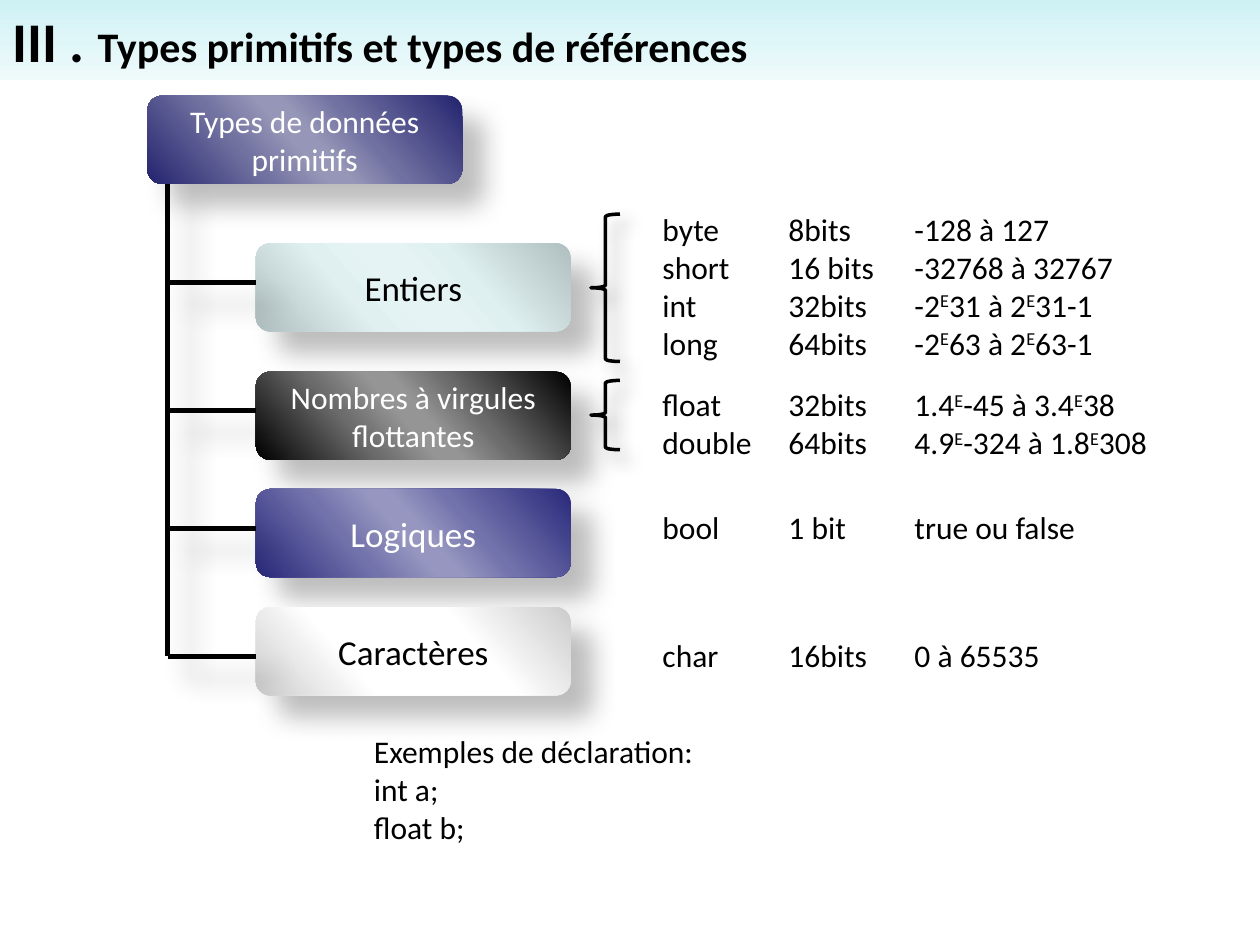
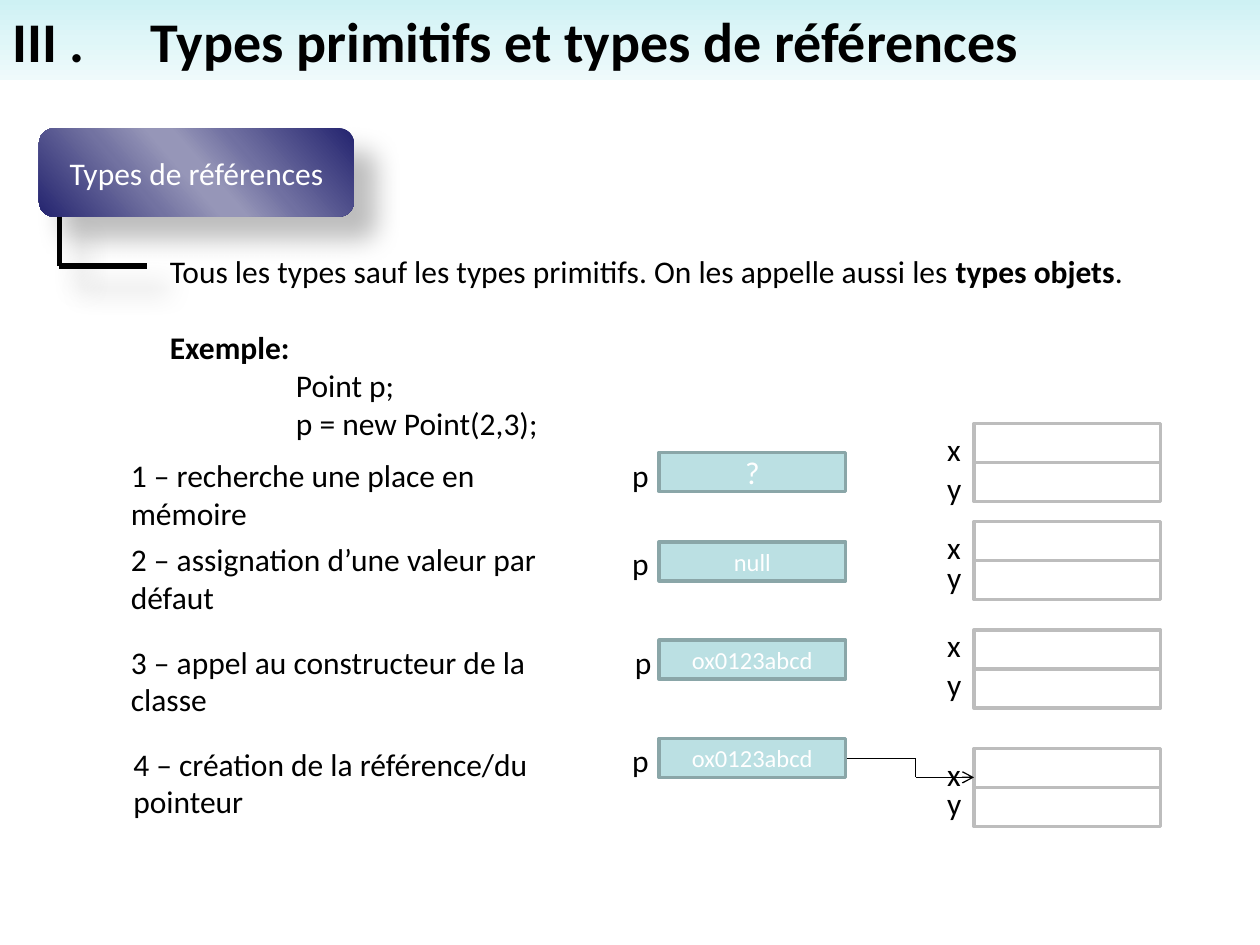
from dataclasses import dataclass
from itertools import pairwise
from typing import NamedTuple, Optional

from pptx import Presentation
from pptx.dml.color import RGBColor
from pptx.enum.shapes import MSO_CONNECTOR as Connector, MSO_SHAPE as Preset
from pptx.enum.text import MSO_ANCHOR as Anchor, PP_ALIGN as Align
from pptx.oxml.ns import qn
from pptx.oxml.xmlchemy import OxmlElement
from pptx.util import Pt


# Theme
class Shadow(NamedTuple):
    opacity: float
    blur: float
    distance: float


class Gradient(NamedTuple):
    angle: float
    stops: tuple[tuple[int, str], ...]


def glossy(*colours: str) -> Gradient:
    return Gradient(139, tuple(zip((0, 33, 47, 53, 68, 100), colours)))


@dataclass(frozen=True)
class Theme:
    font: str = "Calibri"
    black: str = "000000"
    white: str = "FFFFFF"
    reference_fill: str = "BBE0E3"
    reference_line: str = "8AA6A8"
    field_line: str = "BDBDBD"
    title_size: float = 32
    subtitle_size: float = 24
    label_size: float = 20
    body_size: float = 18
    value_size: float = 14
    band: Gradient = Gradient(90, ((0, "CEF1F4"), (50, "DFF6F8"), (100, "EFFAFB")))
    navy: Gradient = glossy("24246F", "7070A1", "9696B8", "9696B8", "7272A1", "24246F")
    aqua: Gradient = glossy("AFBEBF", "DFF0F1", "E5F3F5", "E5F3F5", "E0F0F1", "AFBEBF")
    dark: Gradient = glossy("000000", "6B6B6B", "959595", "959595", "6C6C6C", "000000")
    indigo: Gradient = glossy("29297B", "7272AC", "9696C0", "9696C0", "7373AC", "29297B")
    silver: Gradient = glossy("CCCCCC", "FFFFFF", "FFFFFF", "FFFFFF", "FFFFFF", "CCCCCC")
    box_shadow: Shadow = Shadow(26, 15, 18)
    brace_shadow: Shadow = Shadow(35, 10.2, 8)


THEME = Theme()
BOX_WIDTH, BOX_HEIGHT = 180, 50.4
SLIDE_WIDTH, SLIDE_HEIGHT = 720, 540
TAB = 72


# Content descriptions
class Run(NamedTuple):
    text: str
    size: float = THEME.body_size
    bold: bool = False
    raised: bool = False
    colour: str = THEME.black


class Line(NamedTuple):
    runs: list[Run]
    indent: float = 0
    space_before: float = 0
    tabs: tuple[float, ...] = ()
    align: Align = Align.LEFT


class Area(NamedTuple):
    left: float
    top: float
    width: float
    height: float


class TypeRow(NamedTuple):
    name: str
    size: str
    values: str  # "E" marks a raised exponent sign


@dataclass(frozen=True)
class TypeFamily:
    label: str
    fill: Gradient
    colour: str
    size: float
    top: float
    branch_y: float
    rows_top: float
    rows: tuple[TypeRow, ...]
    brace: Optional[Area] = None


@dataclass(frozen=True)
class Step:
    text: str
    text_top: float
    p_top: float
    value: str
    value_top: float
    fields_top: float
    x_top: float
    y_top: float
    value_size: float = THEME.value_size
    text_left: float = 67.7
    text_width: float = 270
    p_left: float = 354.2


FAMILIES = (
    TypeFamily("Entiers", THEME.aqua, THEME.black, THEME.label_size, 139, 161.3, 116.6, (
        TypeRow("byte", "8bits", "-128 à 127"),
        TypeRow("short", "16 bits", "-32768 à 32767"),
        TypeRow("int", "32bits", "-2E31 à 2E31-1"),
        TypeRow("long", "64bits", "-2E63 à 2E63-1"),
    ), Area(337.7, 122.4, 16.6, 84.2)),
    TypeFamily("Nombres à virgules flottantes", THEME.dark, THEME.white, THEME.body_size,
               212.4, 234.7, 216.7, (
        TypeRow("float", "32bits", "1.4E-45 à 3.4E38"),
        TypeRow("double", "64bits", "4.9E-324 à 1.8E308"),
    ), Area(337.7, 217.4, 16.6, 39.6)),
    TypeFamily("Logiques", THEME.indigo, THEME.white, THEME.label_size, 279.4, 302, 286.6,
               (TypeRow("bool", "1 bit", "true ou false"),)),
    TypeFamily("Caractères", THEME.silver, THEME.black, THEME.label_size, 347, 375.1, 360,
               (TypeRow("char", "16bits", "0 à 65535"),)),
)

STEPS = (
    Step("1 – recherche une place en mémoire", 257, 257, "?", 258.5, 242, 242, 264.2,
         value_size=THEME.body_size),
    Step("2 – assignation d’une valeur par défaut", 305.3, 307.4, "null", 309.6,
         298, 298, 315.4),
    Step("3 – appel au constructeur de la classe", 363.6, 363.6, "ox0123abcd", 365.8,
         360, 354.2, 376.6, p_left=355.7),
    Step("4 – création de la référence/du pointeur", 422, 419.8, "ox0123abcd", 422,
         427.7, 427.7, 444.2, text_left=69.1, text_width=285),
)


# Drawing helpers
def add_child(parent, tag: str, **attributes):
    child = OxmlElement(tag)
    for name, value in attributes.items():
        child.set(name, str(value))
    parent.append(child)
    return child


def set_shadow(shape, shadow: Optional[Shadow]) -> None:
    """Write the effect list; call it after fill and line are set."""
    effects = add_child(shape._element.spPr, "a:effectLst")
    if shadow:
        outer = add_child(effects, "a:outerShdw", blurRad=Pt(shadow.blur),
                          dist=Pt(shadow.distance), dir=45 * 60000, algn="tl")
        colour = add_child(outer, "a:srgbClr", val=THEME.black)
        add_child(colour, "a:alpha", val=shadow.opacity * 1000)


def set_gradient(shape, gradient: Gradient) -> None:
    shape.fill.gradient()
    shape.fill.gradient_angle = 360 - gradient.angle
    stop_list = shape._element.spPr.find(f".//{qn('a:gsLst')}")
    for stop in list(stop_list):
        stop_list.remove(stop)
    for position, colour in gradient.stops:
        stop = add_child(stop_list, "a:gs", pos=position * 1000)
        add_child(stop, "a:srgbClr", val=colour)


def write(shape, lines: list[Line], anchor: Anchor = Anchor.TOP) -> None:
    frame = shape.text_frame
    frame.word_wrap = True
    frame.vertical_anchor = anchor
    for index, line in enumerate(lines):
        paragraph = frame.add_paragraph() if index else frame.paragraphs[0]
        paragraph.alignment = line.align
        if line.space_before:
            paragraph.space_before = Pt(line.space_before)
        properties = paragraph._p.get_or_add_pPr()
        properties.set("marL", str(Pt(line.indent)))
        if line.tabs:
            tab_list = add_child(properties, "a:tabLst")
            for position in line.tabs:
                add_child(tab_list, "a:tab", pos=Pt(position), algn="l")
        for part in line.runs:
            run = paragraph.add_run()
            run.text = part.text
            run.font.name = THEME.font
            run.font.size = Pt(part.size)
            run.font.bold = part.bold
            run.font.color.rgb = RGBColor.from_string(part.colour)
            if part.raised:
                run.font._element.set("baseline", "30000")


def add_text(slide, area: Area, lines: list[Line]) -> None:
    write(slide.shapes.add_textbox(*map(Pt, area)), lines)


def add_preset(slide, preset: Preset, area: Area, fill: Gradient | str | None = None,
               line: str | None = None, shadow: Optional[Shadow] = None):
    shape = slide.shapes.add_shape(preset, *map(Pt, area))
    if isinstance(fill, Gradient):
        set_gradient(shape, fill)
    elif fill:
        shape.fill.solid()
        shape.fill.fore_color.rgb = RGBColor.from_string(fill)
    else:
        shape.fill.background()
    if line:
        shape.line.color.rgb = RGBColor.from_string(line)
        shape.line.width = Pt(2)
    else:
        shape.line.fill.background()
    set_shadow(shape, shadow)
    return shape


def add_line(slide, start: tuple[float, float], end: tuple[float, float], width: float = 3,
             shadow: Optional[Shadow] = THEME.box_shadow, arrow: bool = False) -> None:
    connector = slide.shapes.add_connector(Connector.STRAIGHT, *map(Pt, (*start, *end)))
    connector.line.color.rgb = RGBColor.from_string(THEME.black)
    connector.line.width = Pt(width)
    if arrow:
        add_child(connector.line._get_or_add_ln(), "a:tailEnd", type="arrow")
    set_shadow(connector, shadow)


def add_box(slide, left: float, top: float, label: str, fill: Gradient = THEME.navy,
            colour: str = THEME.white, size: float = THEME.body_size) -> None:
    box = add_preset(slide, Preset.ROUNDED_RECTANGLE, Area(left, top, BOX_WIDTH, BOX_HEIGHT),
                     fill, shadow=THEME.box_shadow)
    write(box, [Line([Run(label, size, colour=colour)], align=Align.CENTER)], Anchor.MIDDLE)


def add_titled_slide(presentation, title: Line):
    slide = presentation.slides.add_slide(presentation.slide_layouts[6])
    band = add_preset(slide, Preset.RECTANGLE, Area(0, 0, SLIDE_WIDTH, 46), THEME.band)
    write(band, [title])
    return slide


def type_line(row: TypeRow) -> Line:
    first, *others = row.values.split("E")
    runs = [Run(f"{row.name}\t{row.size}\t{first}")]
    for text in others:
        runs += [Run("E", raised=True), Run(text)]
    return Line(runs, tabs=(TAB, 2 * TAB))


# Slide 1: tree of primitive types
def build_primitive_types(presentation) -> None:
    slide = add_titled_slide(presentation, Line([
        Run("III . ", THEME.title_size, bold=True),
        Run("Types primitifs et types de références", THEME.subtitle_size, bold=True)]))
    trunk_x, family_left, root_top = 95.8, 146.2, 54.7
    add_box(slide, 84.2, root_top, "Types de données primitifs")
    for family in FAMILIES:
        add_box(slide, family_left, family.top, family.label, family.fill,
                family.colour, family.size)
    add_line(slide, (trunk_x, root_top + BOX_HEIGHT), (trunk_x, FAMILIES[-1].branch_y))
    for family in FAMILIES:
        add_line(slide, (trunk_x, family.branch_y), (family_left, family.branch_y))
        rows_height = 7.2 + 22 * len(family.rows)
        add_text(slide, Area(371.5, family.rows_top, 376.6, rows_height),
                 [type_line(row) for row in family.rows])
        if family.brace:
            add_preset(slide, Preset.LEFT_BRACE, family.brace, line=THEME.black,
                       shadow=THEME.brace_shadow)
    add_text(slide, Area(206.6, 414.7, 376.6, 72.7), [
        Line([Run(text)]) for text in ("Exemples de déclaration:", "int a;", "float b;")])


# Slide 2: reference types and object creation
def build_reference_types(presentation) -> None:
    slide = add_titled_slide(presentation, Line(
        [Run("III .\tTypes primitifs et types de références", THEME.title_size, bold=True)],
        tabs=(79,)))
    add_box(slide, 22.3, 73.4, "Types de références")
    add_line(slide, (33.8, 123.8), (33.8, 152))
    add_line(slide, (33.8, 152), (84.2, 152))
    add_text(slide, Area(90, 140.4, 602, 203.8), [
        Line([Run("Tous les types sauf les types primitifs. On les appelle aussi les "),
              Run("types objets", bold=True), Run(".")]),
        Line([Run("Exemple:", bold=True)], space_before=22),
        Line([Run("Point p;")], indent=TAB),
        Line([Run("p = new Point(2,3);")], indent=TAB)])

    cell_width, cell_height = 106.6, 22.3
    value_left, field_left = 376.6, 556.6
    for step in STEPS:
        reference = add_preset(slide, Preset.RECTANGLE,
                               Area(value_left, step.value_top, cell_width, cell_height),
                               THEME.reference_fill, THEME.reference_line)
        write(reference, [Line([Run(step.value, step.value_size, colour=THEME.white)],
                               align=Align.CENTER)], Anchor.MIDDLE)
        for index in range(2):
            add_preset(slide, Preset.RECTANGLE,
                       Area(field_left, step.fields_top + index * cell_height,
                            cell_width, cell_height), THEME.white, THEME.field_line)
        add_text(slide, Area(step.text_left, step.text_top, step.text_width, 51),
                 [Line([Run(step.text)])])
        for name, left, top in (("p", step.p_left, step.p_top),
                                ("x", 534.2, step.x_top), ("y", 534.2, step.y_top)):
            add_text(slide, Area(left, top, 22.3, 29), [Line([Run(name)])])

    # Pointer from the last reference to its object
    pointer = ((483.8, 433.4), (523.2, 433.4), (523.2, 444.2), (field_left, 444.2))
    for start, end in pairwise(pointer):
        add_line(slide, start, end, 0.75, None, arrow=end == pointer[-1])


def main() -> None:
    presentation = Presentation()
    presentation.slide_width, presentation.slide_height = Pt(SLIDE_WIDTH), Pt(SLIDE_HEIGHT)
    build_primitive_types(presentation)
    build_reference_types(presentation)
    presentation.save("out.pptx")


if __name__ == "__main__":
    main()
